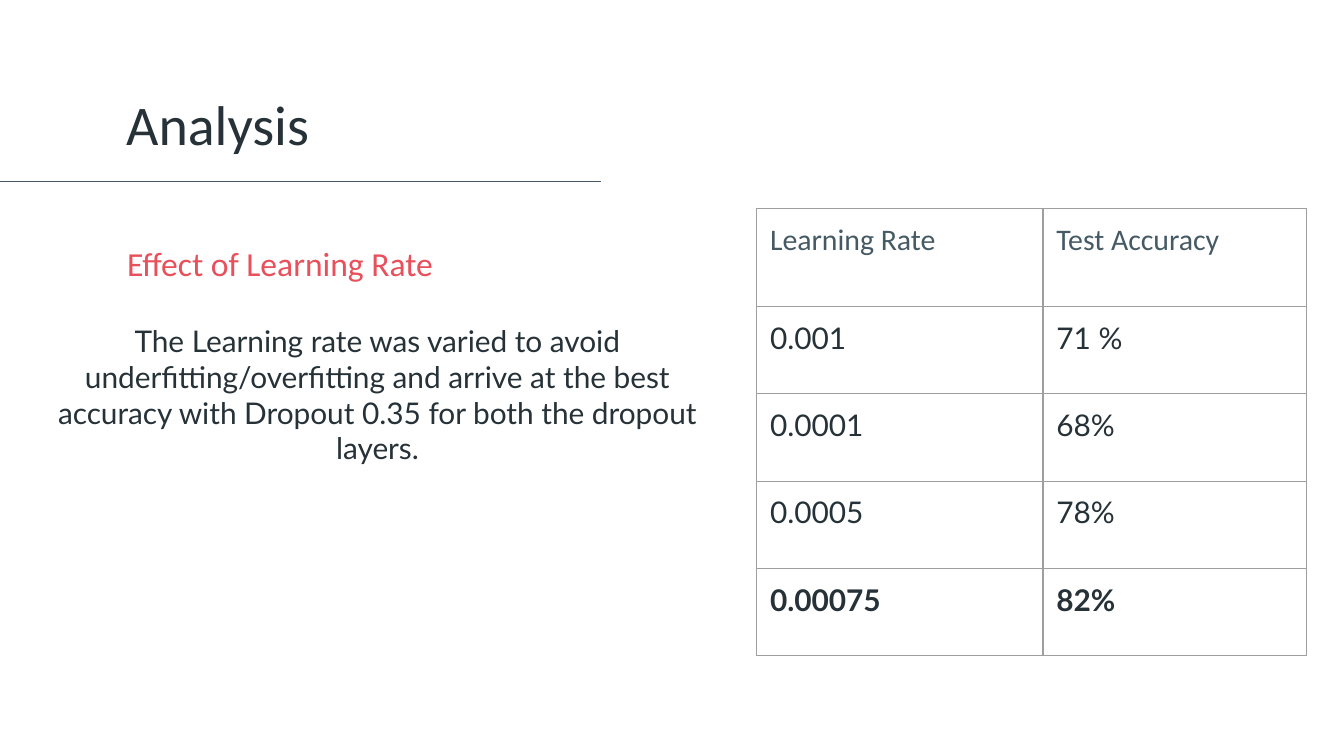
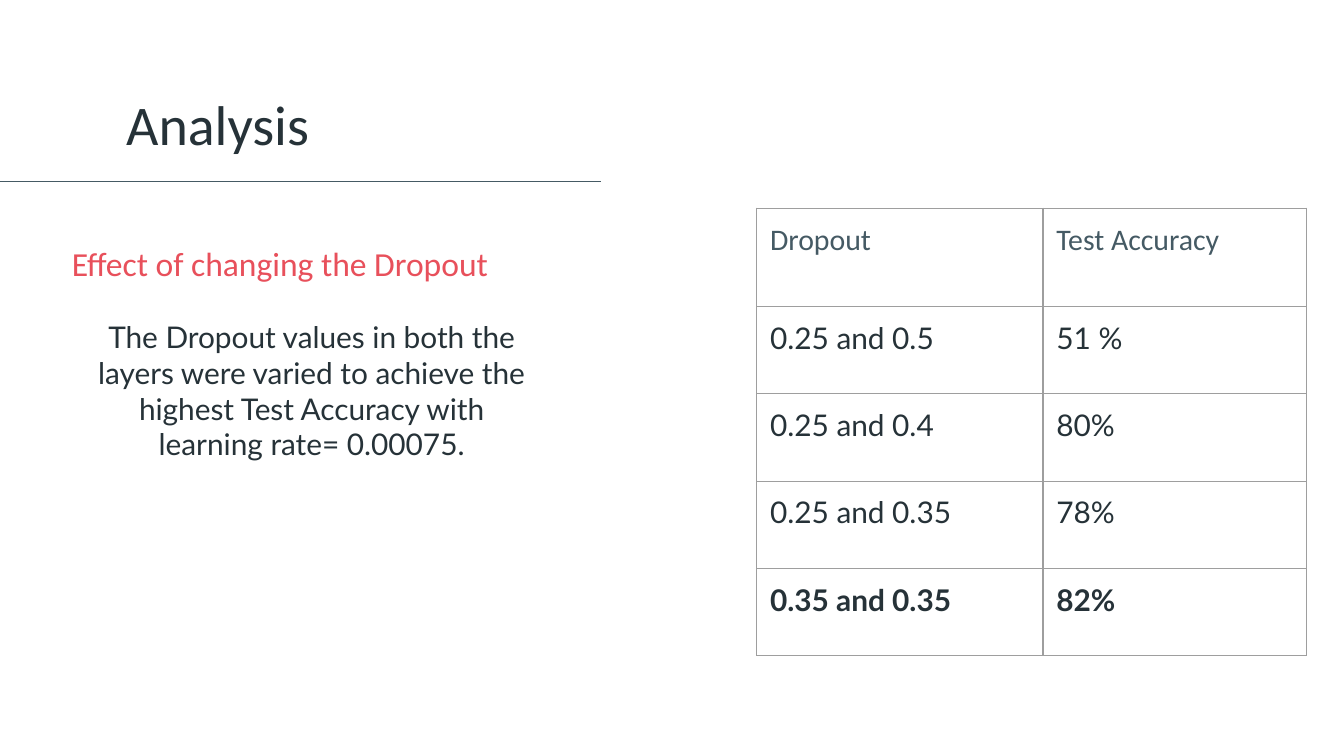
import pptx
import pptx.dml.color
import pptx.enum.shapes
import pptx.enum.text
import pptx.oxml
import pptx.oxml.ns
import pptx.util
from pptx.util import Inches

# Content
TITLE = "Analysis"
SLIDES = [
    {
        "subtitle": "Effect of Learning Rate",
        "body": "The Learning rate was varied to avoid underfitting/overfitting and arrive "
                "at the best accuracy with Dropout 0.35 for both the dropout layers.",
        "body_box": (0.13, 2.3, 5.36, 1.82),
        "table": [
            ("Learning Rate", "Test Accuracy"),
            ("0.001", "71 %"),
            ("0.0001", "68%"),
            ("0.0005", "78%"),
            ("0.00075", "82%"),
        ],
    },
    {
        "subtitle": "Effect of changing the Dropout",
        "body": "The Dropout values in both the layers were varied to achieve the highest "
                "Test Accuracy with learning rate= 0.00075.",
        "body_box": (0.59, 2.27, 3.46, 1.82),
        "table": [
            ("Dropout", "Test Accuracy"),
            ("0.25 and 0.5", "51 %"),
            ("0.25 and 0.4", "80%"),
            ("0.25 and 0.35", "78%"),
            ("0.35 and 0.35", "82%"),
        ],
    },
]

# Shared style
DARK, SLATE, RED, GREY = "263238", "455A64", "E8505B", "9E9E9E"
HEADING_FONT, BODY_FONT = "Calibri", "Lato"
SLIDE_WIDTH = Inches(10)
SLIDE_HEIGHT = SLIDE_WIDTH * 9 // 16
TITLE_BOX = (0.84, 0.44, 4.79, 0.83)
SUBTITLE_BOX = (0, 1.66, 4.17, 0.55)
RULE_LEFT, RULE_RIGHT, RULE_TOP = -0.13, 4.47, 1.35
TABLE_LEFT, TABLE_TOP = 5.63, 1.55
COLUMN_WIDTHS = (2.13, 1.96)
HEADER_HEIGHT, ROW_HEIGHT = 0.73, 0.65
INSET = 0.1
LINE_WIDTH = 0.75
ALIGN = pptx.enum.text.PP_ALIGN
ANCHOR = pptx.enum.text.MSO_ANCHOR


def color(value):
    return pptx.dml.color.RGBColor.from_string(value)


def add_run(paragraph, text, size, font, fill, bold=False):
    run = paragraph.add_run()
    run.text = text
    run.font.size = pptx.util.Pt(size)
    run.font.name = font
    run.font.bold = bold
    run.font.color.rgb = color(fill)


def set_margins(target):
    for side in ("left", "top", "right", "bottom"):
        setattr(target, f"margin_{side}", Inches(INSET))


def add_text(slide, box, text, size, font, fill, align, anchor):
    shape = slide.shapes.add_textbox(*map(Inches, box))
    frame = shape.text_frame
    frame.word_wrap = True
    frame.vertical_anchor = anchor
    set_margins(frame)
    paragraph = frame.paragraphs[0]
    paragraph.alignment = align
    add_run(paragraph, text, size, font, fill)


def add_rule(slide):
    rule = slide.shapes.add_connector(
        pptx.enum.shapes.MSO_CONNECTOR.STRAIGHT,
        Inches(RULE_LEFT), Inches(RULE_TOP), Inches(RULE_RIGHT), Inches(RULE_TOP))
    rule.line.color.rgb = color(SLATE)
    rule.line.width = pptx.util.Pt(LINE_WIDTH)
    rule._element.spPr.append(pptx.oxml.parse_xml(
        f"<a:effectLst {pptx.oxml.ns.nsdecls('a')}/>"))


def set_borders(cell):
    properties = cell._tc.get_or_add_tcPr()
    # Borders go ahead of the cell fill
    for index, side in enumerate("LRTB"):
        properties.insert(index, pptx.oxml.parse_xml(
            f"<a:ln{side} {pptx.oxml.ns.nsdecls('a')} w='{pptx.util.Pt(LINE_WIDTH)}'>"
            f"<a:solidFill><a:srgbClr val='{GREY}'/></a:solidFill></a:ln{side}>"))


def add_result_table(slide, rows):
    heights = [HEADER_HEIGHT] + [ROW_HEIGHT] * (len(rows) - 1)
    table = slide.shapes.add_table(
        len(rows), len(COLUMN_WIDTHS), Inches(TABLE_LEFT), Inches(TABLE_TOP),
        Inches(sum(COLUMN_WIDTHS)), Inches(sum(heights))).table
    table.first_row = table.horz_banding = False
    for column, width in zip(table.columns, COLUMN_WIDTHS):
        column.width = Inches(width)
    for row_index, values in enumerate(rows):
        table.rows[row_index].height = Inches(heights[row_index])
        font, fill = (BODY_FONT, DARK) if row_index else (HEADING_FONT, SLATE)
        best = row_index == len(rows) - 1
        for column_index, value in enumerate(values):
            cell = table.cell(row_index, column_index)
            set_margins(cell)
            cell.fill.background()
            set_borders(cell)
            add_run(cell.text_frame.paragraphs[0], value, 16, font, fill, best)


def add_analysis_slide(presentation, content):
    slide = presentation.slides.add_slide(presentation.slide_layouts[6])
    slide.background.fill.solid()
    slide.background.fill.fore_color.rgb = color("FFFFFF")
    add_rule(slide)
    add_text(slide, TITLE_BOX, TITLE, 30, HEADING_FONT, DARK, ALIGN.LEFT, ANCHOR.BOTTOM)
    add_text(slide, SUBTITLE_BOX, content["subtitle"], 18, HEADING_FONT, RED,
             ALIGN.CENTER, ANCHOR.BOTTOM)
    add_text(slide, content["body_box"], content["body"], 16, BODY_FONT, DARK,
             ALIGN.CENTER, ANCHOR.TOP)
    add_result_table(slide, content["table"])


def main():
    presentation = pptx.Presentation()
    presentation.slide_width = SLIDE_WIDTH
    presentation.slide_height = SLIDE_HEIGHT
    for content in SLIDES:
        add_analysis_slide(presentation, content)
    presentation.save("out.pptx")


if __name__ == "__main__":
    main()
